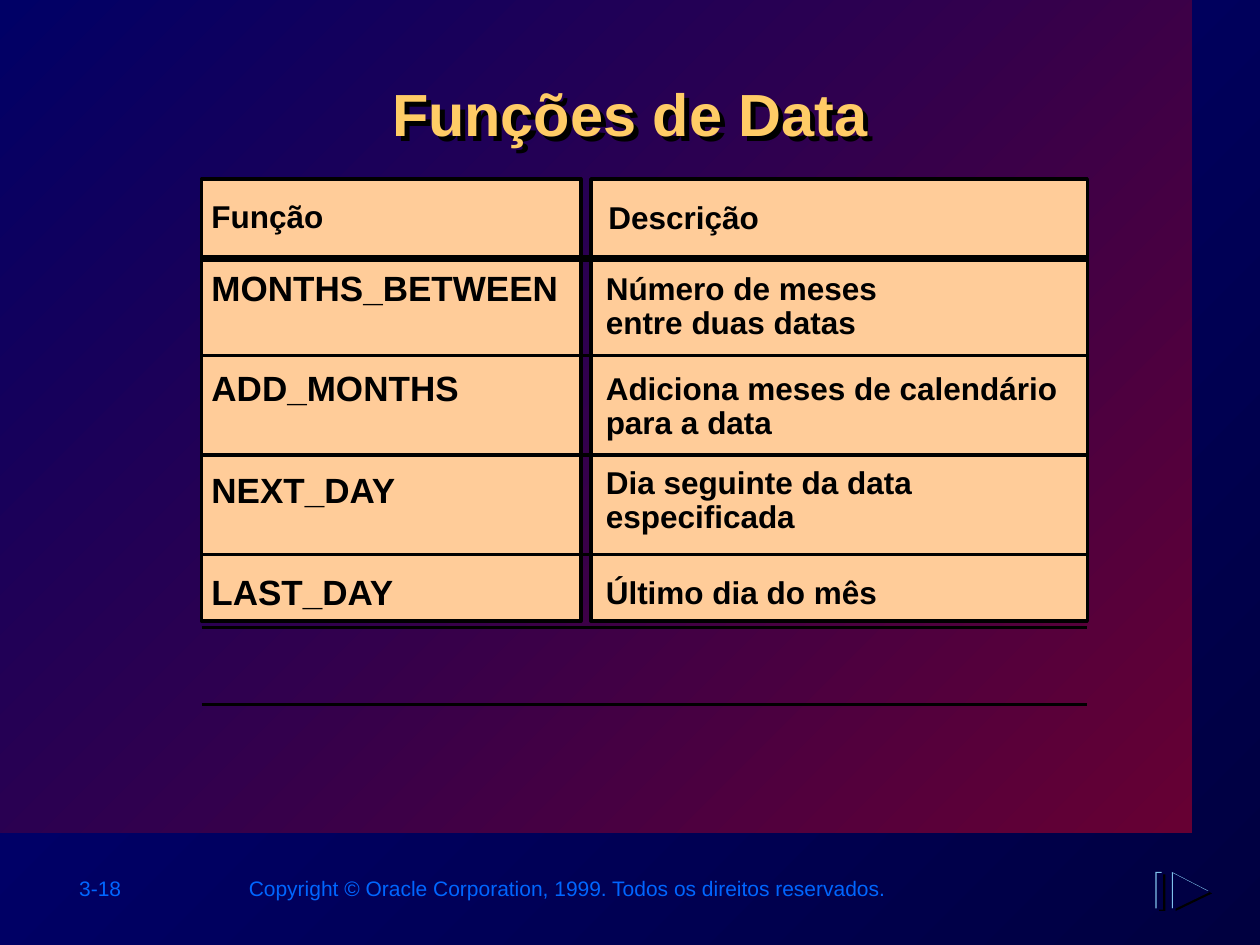
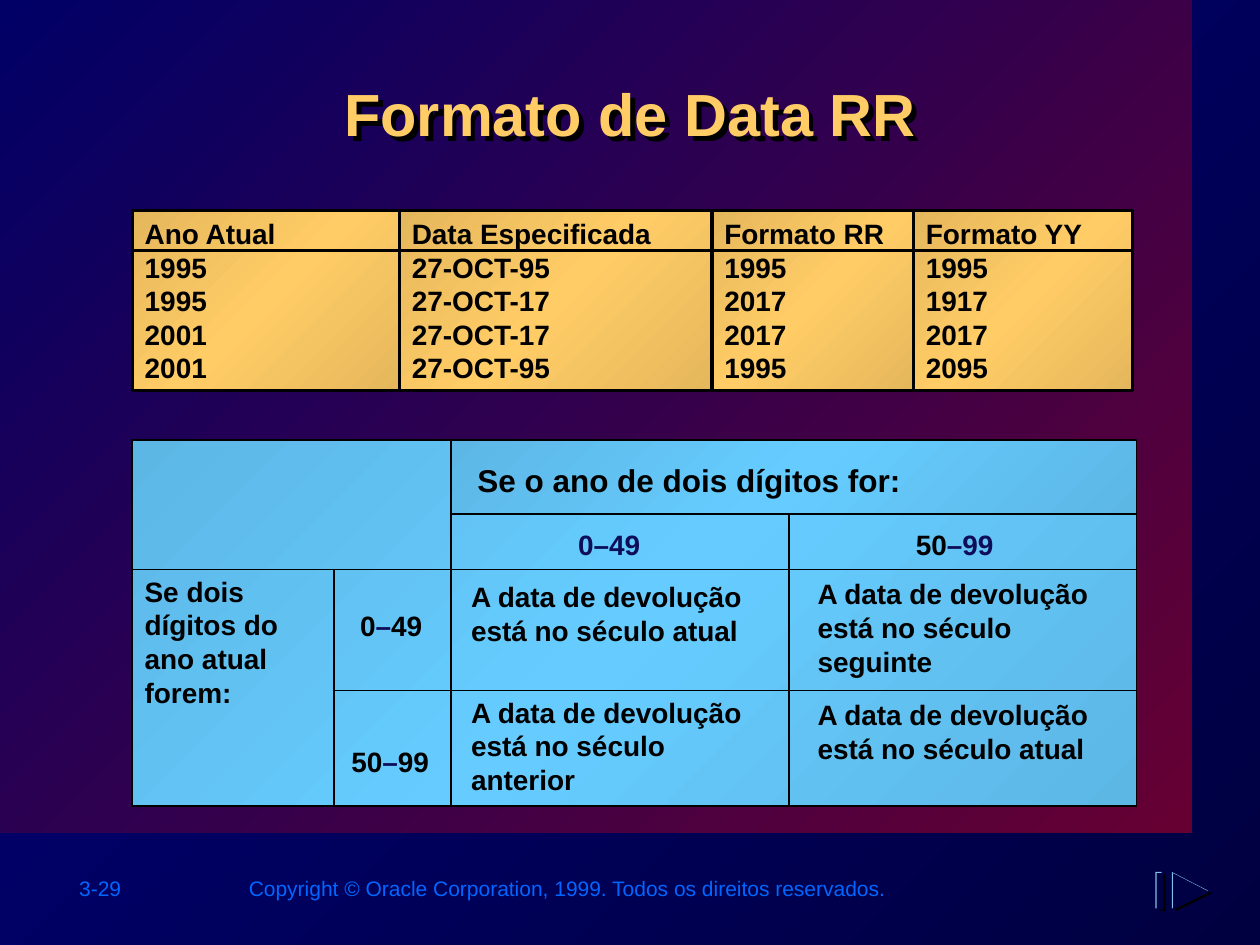
from copy import deepcopy

from lxml.etree import SubElement
from pptx import Presentation
from pptx.dml.color import RGBColor as RGB
from pptx.enum.shapes import MSO_CONNECTOR as CONN, MSO_SHAPE as SHAPE
from pptx.enum.text import MSO_ANCHOR as ANCHOR, PP_ALIGN as ALIGN
from pptx.oxml.ns import qn
from pptx.util import Inches, Pt

THEME = {
    "font": "Arial",
    "page": ["000080", "000040"],
    "band": ["000066", "660033"],
    "peach": ["FFCC99"],
    "gold": ["E5B75C", "FFCC66", "E5B75C"],
    "sky": ["5CB7E5", "66CCFF", "5CB7E5"],
    "icon_edge": ["7FC1EB"],
    "icon_face": ["000044"],
    "title": "FFCC66",
    "footer": "0066FF",
    "ink": "000000",
    "navy": "0E0E58",
    "title_pt": 34,
    "code_pt": 20,
    "head_pt": 18,
    "cell_pt": 16,
    "footer_pt": 12,
}
INK, NAVY = THEME["ink"], THEME["navy"]


def paint(fill, root, colors):
    if len(colors) == 1:
        fill.solid()
        fill.fore_color.rgb = RGB.from_string(colors[0])
        return
    fill.gradient()
    fill.gradient_angle = 315
    stops = root.find(".//" + qn("a:gsLst"))
    for _ in colors[2:]:
        stops.append(deepcopy(stops[0]))
    for i, (stop, color) in enumerate(zip(fill.gradient_stops, colors)):
        stop.position = i / (len(colors) - 1)
        stop.color.rgb = RGB.from_string(color)


def write(sp, lines, size, color=INK, bold=True, align=ALIGN.LEFT, spacing=1.0):
    tf = sp.text_frame
    tf.word_wrap = True
    tf.vertical_anchor = ANCHOR.TOP
    for i, line in enumerate(lines):
        p = tf.add_paragraph() if i else tf.paragraphs[0]
        for name, value in {"alignment": align, "line_spacing": spacing}.items():
            setattr(p, name, value)
        for words, tint in [(line, color)] if isinstance(line, str) else line:
            for j, chunk in enumerate(words.split("\n")):
                if j:
                    p.add_line_break()
                r = p.add_run()
                r.text = chunk
                fmt = {"name": THEME["font"], "size": Pt(THEME[size]), "bold": bold}
                for name, value in fmt.items():
                    setattr(r.font, name, value)
                r.font.color.rgb = RGB.from_string(tint)


functions = [
    ("MONTHS_BETWEEN", 2.1, "Número de meses\nentre duas datas", 2.12),
    ("ADD_MONTHS", 2.9, "Adiciona meses de calendário para a data", 2.91),
    ("NEXT_DAY", 3.71, "Dia seguinte da data especificada", 3.66),
    ("LAST_DAY", 4.52, "Último dia do mês", 4.53),
]
function_texts = [
    ((1.58, 1.55, 3.09, 0.37), "Função", "head_pt"),
    ((4.73, 1.56, 3.96, 0.37), "Descrição", "head_pt"),
]
for name, name_y, meaning, meaning_y in functions:
    function_texts.append(((1.58, name_y, 3.96, 0.4), name, "code_pt"))
    function_texts.append(((4.71, meaning_y, 3.96, 0.64), meaning, "head_pt"))

year_columns = [
    (1.05, 2.12, ["Ano Atual", "1995", "1995", "2001", "2001"]),
    (3.17, 2.48, ["Data Especificada", "27-OCT-95", "27-OCT-17", "27-OCT-17", "27-OCT-95"]),
    (5.65, 1.6, ["Formato RR", "1995", "2017", "2017", "1995"]),
    (7.25, 1.74, ["Formato YY", "1995", "1917", "2017", "2095"]),
]
century = "A data de devolução está no século "
century_texts = [
    ((1.05, 4.51, 1.57, 1.17), "Se dois dígitos do ano atual forem:", "cell_pt"),
    ((2.76, 4.78, 1.04, 0.37), [("0", INK), ("–", NAVY), ("49", INK)], "cell_pt"),
    ((2.69, 5.86, 1.27, 0.37), [("50", INK), ("–", NAVY), ("99", INK)], "cell_pt"),
    ((4.49, 4.14, 1.28, 0.37), [("0–49", NAVY)], "cell_pt"),
    ((7.17, 4.14, 1.26, 0.37), [("50", INK), ("–99", NAVY)], "cell_pt"),
    ((3.64, 4.55, 2.69, 0.63), century + "atual", "cell_pt"),
    ((3.64, 5.47, 2.59, 0.9), century + "anterior", "cell_pt"),
    ((6.39, 4.53, 2.69, 0.9), century + "seguinte", "cell_pt"),
    ((6.39, 5.49, 2.69, 0.63), century + "atual", "cell_pt"),
    ((3.69, 3.61, 4.48, 0.4), "Se o ano de dois dígitos for:", "head_pt"),
]

slides = [
    {
        "title": "Funções de Data",
        "number": "3-18",
        "spacing": 0.9,
        "rects": [
            ((1.6, 1.42, 3.01, 3.51), "peach", 2, []),
            ((4.69, 1.42, 3.94, 3.51), "peach", 2, []),
        ],
        "lines": [(1.6, y, 8.63, y, 2) for y in (2.82, 3.61, 4.4, 4.98, 5.59)]
        + [(1.6, 2.05, 8.63, 2.05, 4)],
        "texts": function_texts,
    },
    {
        "title": "Formato de Data RR",
        "number": "3-29",
        "spacing": 1.0,
        "rects": [((x, 1.67, w, 1.43), "gold", 2, years) for x, w, years in year_columns]
        + [
            ((1.05, 3.49, 7.97, 2.91), "sky", 1, []),
            ((3.58, 3.49, 5.44, 0.59), "sky", 1, []),
        ],
        "lines": [
            (1.05, 1.99, 8.99, 1.99, 2),
            (1.05, 4.52, 9.02, 4.52, 1),
            (2.65, 5.48, 9.02, 5.48, 1),
            (2.65, 4.52, 2.65, 6.4, 1),
            (3.58, 3.49, 3.58, 6.4, 1),
            (6.26, 4.08, 6.26, 6.4, 1),
        ],
        "texts": century_texts,
    },
]
notice = "Copyright © Oracle Corporation, 1999. Todos os direitos reservados."
icon_layers = [
    (0.03, 0.02, [INK]),
    (0, 0, THEME["icon_edge"]),
    (0.01, 0.01, THEME["icon_face"]),
]

prs = Presentation()
prs.slide_width, prs.slide_height = Inches(10), Inches(7.5)

for content in slides:
    s = prs.slides.add_slide(prs.slide_layouts[6])
    paint(s.background.fill, s._element, THEME["page"])

    band = ((0, 0, 9.46, 6.61), "band", 0, [])
    for box, colors, width, words in [band] + content["rects"]:
        sp = s.shapes.add_shape(SHAPE.RECTANGLE, *map(Inches, box))
        sp.shadow.inherit = False
        paint(sp.fill, sp._element, THEME[colors])
        if width:
            sp.line.color.rgb = RGB.from_string(INK)
            sp.line.width = Pt(width)
        else:
            sp.line.fill.background()
        if words:
            write(sp, words, "cell_pt")

    for x1, y1, x2, y2, width in content["lines"]:
        sp = s.shapes.add_connector(CONN.STRAIGHT, *map(Inches, (x1, y1, x2, y2)))
        sp.line.color.rgb = RGB.from_string(INK)
        sp.line.width = Pt(width)
        SubElement(sp._element.spPr, qn("a:effectLst"))

    for box, words, size in content["texts"]:
        sp = s.shapes.add_textbox(*map(Inches, box))
        write(sp, [words], size, spacing=content["spacing"])

    sp = s.shapes.add_textbox(*map(Inches, (1.01, 0.56, 7.98, 0.96)))
    write(sp, [content["title"]], "title_pt", THEME["title"], align=ALIGN.CENTER)
    effects = SubElement(sp._element.spPr, qn("a:effectLst"))
    shadow = SubElement(effects, qn("a:outerShdw"), dist="50800", dir="2700000")
    SubElement(shadow, qn("a:srgbClr"), val=INK)

    for x, w, words, align in [
        (0.53, 1.11, content["number"], ALIGN.LEFT),
        (1.84, 5.29, notice, ALIGN.RIGHT),
    ]:
        sp = s.shapes.add_textbox(*map(Inches, (x, 6.9, w, 0.3)))
        write(sp, [words], "footer_pt", THEME["footer"], bold=False, align=align)

    for dx, dy, colors in icon_layers:
        x, y = 9.3 + dx, 6.92 + dy
        bar = s.shapes.add_shape(
            SHAPE.RECTANGLE, *map(Inches, (x - 0.13, y, 0.05, 0.29))
        )
        builder = s.shapes.build_freeform(Inches(x), Inches(y))
        corners = [(x, y + 0.29), (x + 0.29, y + 0.15)]
        builder.add_line_segments([(Inches(a), Inches(b)) for a, b in corners])
        for sp in (bar, builder.convert_to_shape()):
            sp.shadow.inherit = False
            paint(sp.fill, sp._element, colors)
            sp.line.fill.background()

prs.save("out.pptx")
